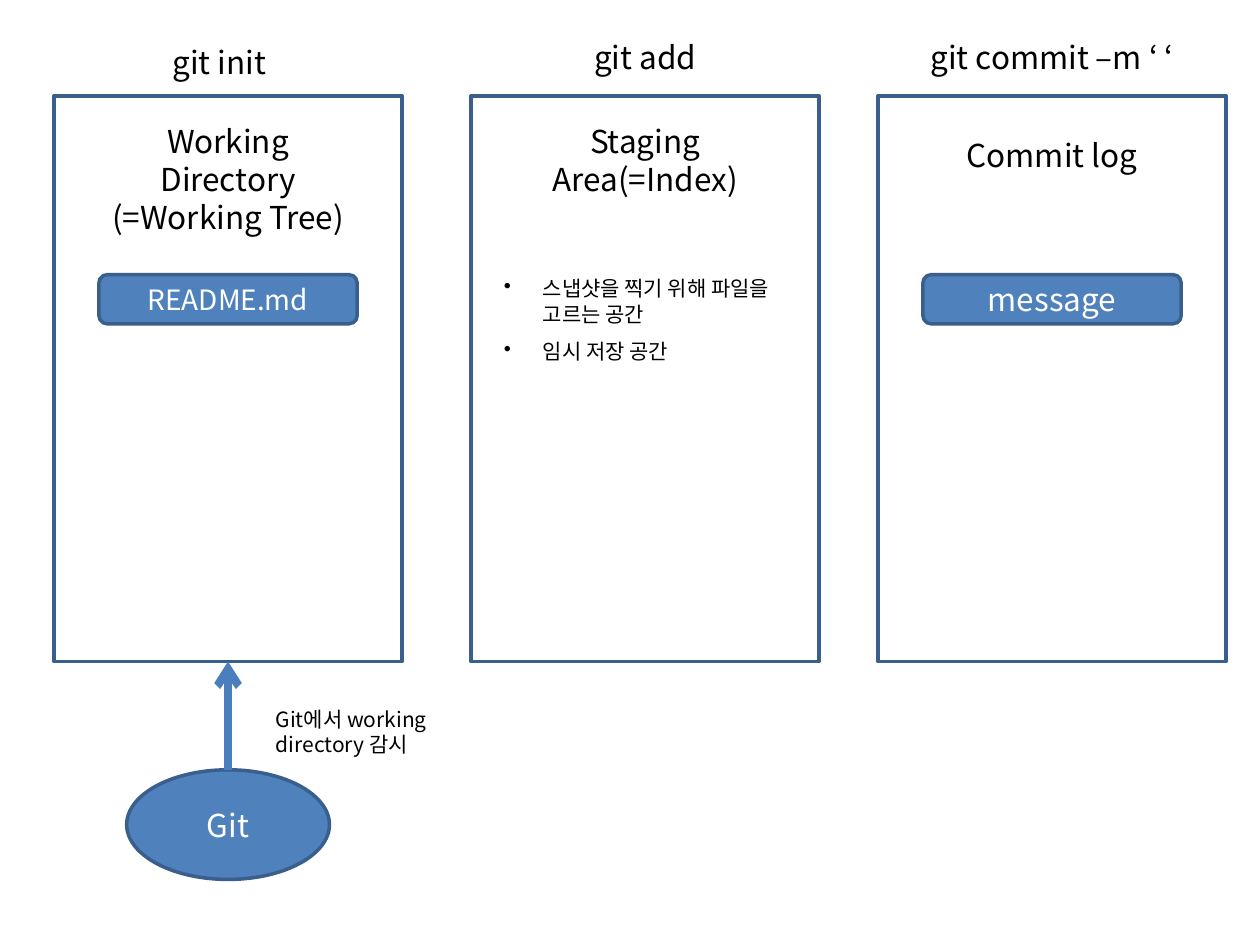
from lxml import etree
from pptx import Presentation
from pptx import util as u
from pptx.dml.color import RGBColor
from pptx.enum import shapes, text
from pptx.oxml.ns import qn

FONT = "Noto Sans CJK KR"
COLORS = {"fill": "4F81BD", "outline": "3A5F8C", "arrow": "4B7EBC",
          "dark": "000000", "light": "FFFFFF"}
COLUMNS = (0.43, 3.74, 6.97)
PANEL_TOP, PANEL_WIDTH, PANEL_HEIGHT = 0.76, 2.76, 4.49
INNER_WIDTH = 2.05
INNER_INSET = (PANEL_WIDTH - INNER_WIDTH) / 2


def color(name):
    return RGBColor.from_string(COLORS[name])


def write(shape, lines, size, ink="dark", align=text.PP_ALIGN.CENTER):
    frame = shape.text_frame
    frame.word_wrap = True
    frame.text = "\n".join(lines)
    for paragraph in frame.paragraphs:
        paragraph.alignment = align
        font = paragraph.font
        font.size = u.Pt(size)
        font.color.rgb = color(ink)
        font.name = FONT
        defaults = paragraph._p.pPr.find(qn("a:defRPr"))
        etree.SubElement(defaults, qn("a:ea"), typeface=FONT)
    return frame


def add_label(slide, box, lines, size=18, align=text.PP_ALIGN.CENTER):
    label = slide.shapes.add_textbox(*map(u.Inches, box))
    return write(label, lines, size, align=align)


def add_outlined(slide, kind, box, fill=None):
    shape = slide.shapes.add_shape(kind, *map(u.Inches, box))
    shape.shadow.inherit = False
    shape.line.color.rgb = color("outline")
    shape.line.width = u.Pt(2)
    if fill:
        shape.fill.solid()
        shape.fill.fore_color.rgb = color(fill)
    else:
        shape.fill.background()
    return shape


def add_node(slide, kind, box, caption, size=18):
    node = add_outlined(slide, kind, box, "fill")
    frame = write(node, [caption], size, "light")
    frame.vertical_anchor = text.MSO_ANCHOR.MIDDLE
    return node


def add_panel(slide, left, heading, heading_top, heading_height):
    panel = add_outlined(slide, shapes.MSO_SHAPE.RECTANGLE,
                         (left, PANEL_TOP, PANEL_WIDTH, PANEL_HEIGHT))
    add_label(slide, (left + INNER_INSET, heading_top, INNER_WIDTH, heading_height), heading)
    return panel


def add_file(slide, left, caption, size):
    add_node(slide, shapes.MSO_SHAPE.ROUNDED_RECTANGLE,
             (left + INNER_INSET, 2.18, INNER_WIDTH, 0.39), caption, size)


def add_bullets(slide, box, lines):
    frame = add_label(slide, box, lines, 12, text.PP_ALIGN.LEFT)
    for paragraph in frame.paragraphs:
        properties = paragraph._p.pPr
        properties.set("marL", str(u.Inches(0.31)))
        properties.set("indent", str(-u.Inches(0.31)))
        bullet = etree.Element(qn("a:buChar"), char="•")
        properties.find(qn("a:defRPr")).addprevious(bullet)
    frame.paragraphs[-1].line_spacing = 1.5


def add_arrow(slide, start, end):
    """Join the top of start to the bottom of end."""
    arrow = slide.shapes.add_connector(shapes.MSO_CONNECTOR.STRAIGHT, 0, 0, 0, 0)
    arrow.begin_connect(start, 0)
    arrow.end_connect(end, 2)
    arrow.line.color.rgb = color("arrow")
    arrow.line.width = u.Pt(4.5)
    etree.SubElement(arrow.line._get_or_add_ln(), qn("a:tailEnd"), type="arrow")
    etree.SubElement(arrow._element.spPr, qn("a:effectLst"))


def main():
    presentation = Presentation()
    presentation.slide_width, presentation.slide_height = u.Inches(10), u.Inches(7.5)
    slide = presentation.slides.add_slide(presentation.slide_layouts[6])
    working, staging, commit = COLUMNS

    add_panel(slide, commit, ["Commit log"], 1.03, 0.4)
    add_file(slide, commit, "message", 18)

    add_panel(slide, staging, ["Staging", "Area(=Index)"], 0.92, 0.71)
    add_bullets(slide, (staging + 0.16, 2.14, 2.44, 0.81),
                ["스냅샷을 찍기 위해 파일을 고르는 공간", "임시 저장 공간"])

    directory = add_panel(slide, working,
                          ["Working", "Directory", "(=Working Tree)"], 0.92, 1.01)
    add_file(slide, working, "README.md", 16)

    git = add_node(slide, shapes.MSO_SHAPE.OVAL,
                   (working + (PANEL_WIDTH - 1.61) / 2, 6.11, 1.61, 0.87), "Git")
    add_arrow(slide, git, directory)
    add_label(slide, (2.09, 5.56, 1.42, 0.5), ["Git에서 working directory 감시"],
              12, text.PP_ALIGN.LEFT)

    for left, top, width, command in ((1, 0.29, 1.48, "git init"),
                                      (4.38, 0.25, 1.48, "git add"),
                                      (commit, 0.25, PANEL_WIDTH, "git commit –m ‘ ‘")):
        add_label(slide, (left, top, width, 0.4), [command])

    presentation.save("out.pptx")


if __name__ == "__main__":
    main()
